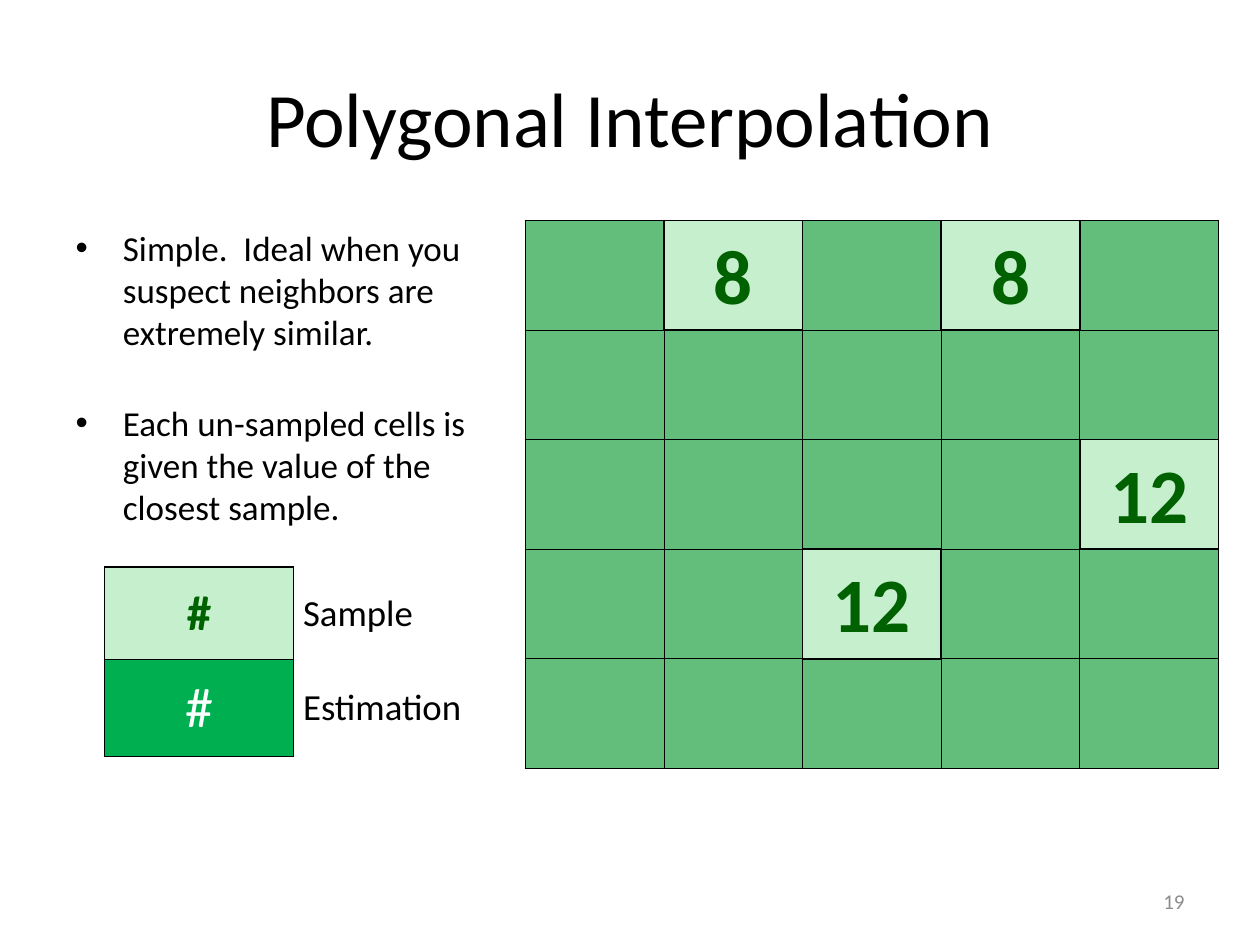
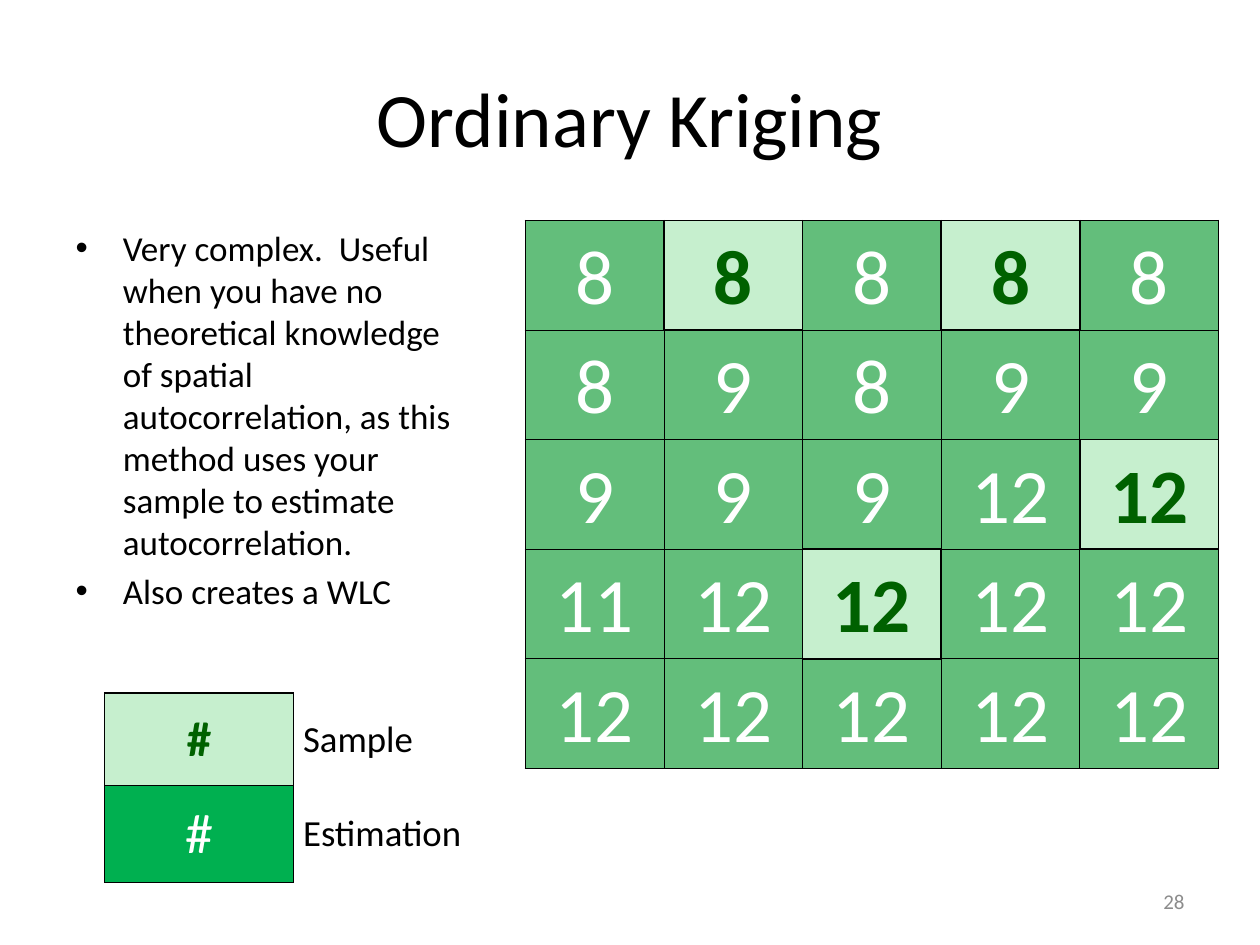
"""Build two slides comparing spatial interpolation methods on a sampled grid."""
import dataclasses

import lxml.etree
import pptx
import pptx.dml.color
import pptx.enum.text
import pptx.oxml.ns
import pptx.util

Inches = pptx.util.Inches
Pt = pptx.util.Pt
Align = pptx.enum.text.PP_ALIGN
Anchor = pptx.enum.text.MSO_ANCHOR
qn = pptx.oxml.ns.qn


@dataclasses.dataclass(frozen=True)
class Theme:
    """Colours, type sizes and line widths of the deck."""
    font: str = "Calibri"
    ink: str = "000000"
    muted: str = "8C8C8C"
    white: str = "FFFFFF"
    sample_ink: str = "006100"
    sample_fill: str = "C6EFCE"
    estimate_fill: str = "63BE7B"
    legend_fill: str = "00B050"
    title_size: int = 44
    body_size: int = 20
    value_size: int = 44
    legend_sample_size: int = 28
    legend_estimate_size: int = 32
    label_size: int = 21
    number_size: int = 12
    thick: float = 1
    thin: float = 0.5


SAMPLES = {(0, 1): 8, (0, 3): 8, (2, 4): 12, (3, 2): 12}
GRID_SIZE = 5
NEIGHBOURS = {"L": (0, -1), "R": (0, 1), "T": (-1, 0), "B": (1, 0)}
KRIGING_ESTIMATES = [
    [8, 8, 8, 8, 8],
    [8, 9, 8, 9, 9],
    [9, 9, 9, 12, 12],
    [11, 12, 12, 12, 12],
    [12, 12, 12, 12, 12],
]


class Deck:
    """Hold the theme and the current slide."""

    def __init__(self, theme):
        self.theme = theme
        self.presentation = pptx.Presentation()
        self.presentation.slide_width = Inches(10)
        self.presentation.slide_height = Inches(7.5)
        self.slide = None

    def new_slide(self, title, number):
        """Start a slide with its title and page number."""
        layout = self.presentation.slide_layouts[1]
        self.slide = self.presentation.slides.add_slide(layout)
        heading = self.slide.shapes.title
        self.place(heading, 0.5, 0.3, 9, 1.25)
        heading.text_frame.vertical_anchor = Anchor.MIDDLE
        self.add_text(heading.text_frame.paragraphs[0], title,
                      self.theme.title_size, align=Align.CENTER)
        page = self.slide.shapes.add_textbox(
            Inches(7.17), Inches(6.95), Inches(2.33), Inches(0.4)).text_frame
        page.word_wrap = True
        page.vertical_anchor = Anchor.MIDDLE
        self.add_text(page.paragraphs[0], number, self.theme.number_size,
                      self.theme.muted, align=Align.RIGHT)

    def place(self, shape, left, top, width, height):
        """Move and size a shape in inches."""
        shape.left, shape.top = Inches(left), Inches(top)
        shape.width, shape.height = Inches(width), Inches(height)

    def add_text(self, paragraph, text, size, color=None, bold=False, align=None):
        """Add one formatted run to a paragraph."""
        paragraph.alignment = align
        run = paragraph.add_run()
        run.text = str(text)
        run.font.name = self.theme.font
        run.font.size = Pt(size)
        run.font.bold = bold
        run.font.color.rgb = pptx.dml.color.RGBColor.from_string(
            color or self.theme.ink)

    def bullets(self, points, gap):
        """Fill the body placeholder with bullets, gap points apart."""
        body = self.slide.placeholders[1]
        self.place(body, 0.5, 1.75, 3.33, 4.95)
        frame = body.text_frame
        frame.auto_size = pptx.enum.text.MSO_AUTO_SIZE.NONE
        for index, point in enumerate(points):
            paragraph = frame.add_paragraph() if index else frame.paragraphs[0]
            paragraph.space_before = Pt(gap if index else 4)
            self.add_text(paragraph, point, self.theme.body_size)

    def table(self, left, top, column_width, columns, row_heights):
        """Add a plain table and return it."""
        table = self.slide.shapes.add_table(
            len(row_heights), columns, Inches(left), Inches(top),
            Inches(column_width * columns), Inches(sum(row_heights))).table
        table.first_row = table.horz_banding = False
        for column in table.columns:
            column.width = Inches(column_width)
        for row, height in zip(table.rows, row_heights):
            row.height = Inches(height)
        return table

    def cell(self, cell, fill, borders, inset):
        """Set the fill, side borders and margins of a cell."""
        cell.vertical_anchor = Anchor.MIDDLE
        cell.margin_left = cell.margin_right = cell.margin_top = Inches(inset)
        cell.margin_bottom = 0
        if fill:
            cell.fill.solid()
            cell.fill.fore_color.rgb = pptx.dml.color.RGBColor.from_string(fill)
        else:
            cell.fill.background()
        properties = cell._tc.get_or_add_tcPr()
        for index, side in enumerate("LRTB"):
            line = lxml.etree.Element(qn(f"a:ln{side}"))
            if side in borders:
                line.set("w", str(int(Pt(borders[side]))))
                solid = lxml.etree.SubElement(line, qn("a:solidFill"))
                lxml.etree.SubElement(solid, qn("a:srgbClr"), val=self.theme.ink)
            else:
                lxml.etree.SubElement(line, qn("a:noFill"))
            properties.insert(index, line)

    def grid_borders(self, row, column):
        """Return thick sides on the rim and around samples, else thin ones."""
        borders = {}
        for side, (down, across) in NEIGHBOURS.items():
            beside = (row + down, column + across)
            on_rim = not all(0 <= place < GRID_SIZE for place in beside)
            thick = on_rim or beside in SAMPLES or (row, column) in SAMPLES
            borders[side] = self.theme.thick if thick else self.theme.thin
        return borders

    def value_grid(self, estimates=None):
        """Draw the sampled grid, with estimates where they are given."""
        theme = self.theme
        grid = self.table(4.17, 1.75, 1.1, GRID_SIZE, [0.87] * GRID_SIZE)
        for row in range(GRID_SIZE):
            for column in range(GRID_SIZE):
                sampled = (row, column) in SAMPLES
                cell = grid.cell(row, column)
                self.cell(cell,
                          theme.sample_fill if sampled else theme.estimate_fill,
                          self.grid_borders(row, column), 0.04)
                if sampled or estimates:
                    value = (SAMPLES[row, column] if sampled
                             else estimates[row][column])
                    self.add_text(cell.text_frame.paragraphs[0], value,
                                  theme.value_size,
                                  theme.sample_ink if sampled else theme.white,
                                  sampled, Align.CENTER)

    def legend(self, top):
        """Draw the key to sampled and estimated cells."""
        theme = self.theme
        key = self.table(0.83, top, 1.5, 2, [0.73, 0.77])
        entries = [
            (" Sample", theme.sample_fill, theme.sample_ink,
             theme.legend_sample_size, True, theme.thick),
            (" Estimation", theme.legend_fill, theme.white,
             theme.legend_estimate_size, False, theme.thin),
        ]
        for row, (label, fill, ink, size, bold, width) in enumerate(entries):
            swatch, caption = key.cell(row, 0), key.cell(row, 1)
            borders = {"L": width, "R": width, "T": width, "B": theme.thin}
            self.cell(swatch, fill, borders, 0.01)
            self.add_text(swatch.text_frame.paragraphs[0], "#", size, ink, bold,
                          Align.CENTER)
            self.cell(caption, None, {"L": width}, 0.01)
            self.add_text(caption.text_frame.paragraphs[0], label,
                          theme.label_size)


def main():
    """Build both slides and save the deck."""
    deck = Deck(Theme())

    deck.new_slide("Polygonal Interpolation", 19)
    deck.bullets([
        "Simple.  Ideal when you suspect neighbors are extremely similar.",
        "Each un-sampled cells is given the value of the closest sample.",
    ], gap=28)
    deck.value_grid()
    deck.legend(4.5)

    deck.new_slide("Ordinary Kriging", 28)
    deck.bullets([
        "Very complex.  Useful when you have no theoretical knowledge of "
        "spatial autocorrelation, as this method uses your sample to "
        "estimate autocorrelation.",
        "Also creates a WLC",
    ], gap=4)
    deck.value_grid(KRIGING_ESTIMATES)
    deck.legend(5.5)

    deck.presentation.save("out.pptx")


if __name__ == "__main__":
    main()
